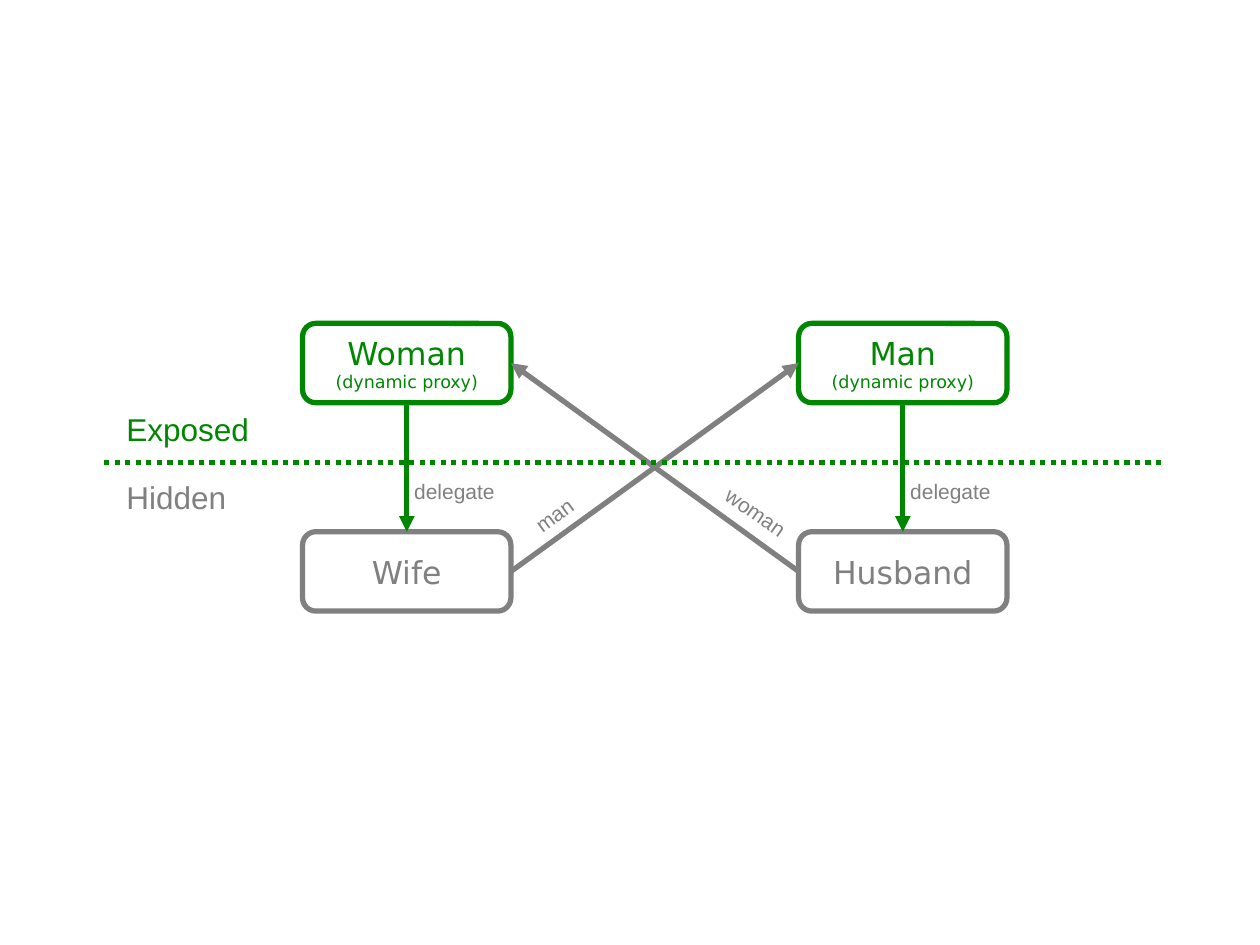
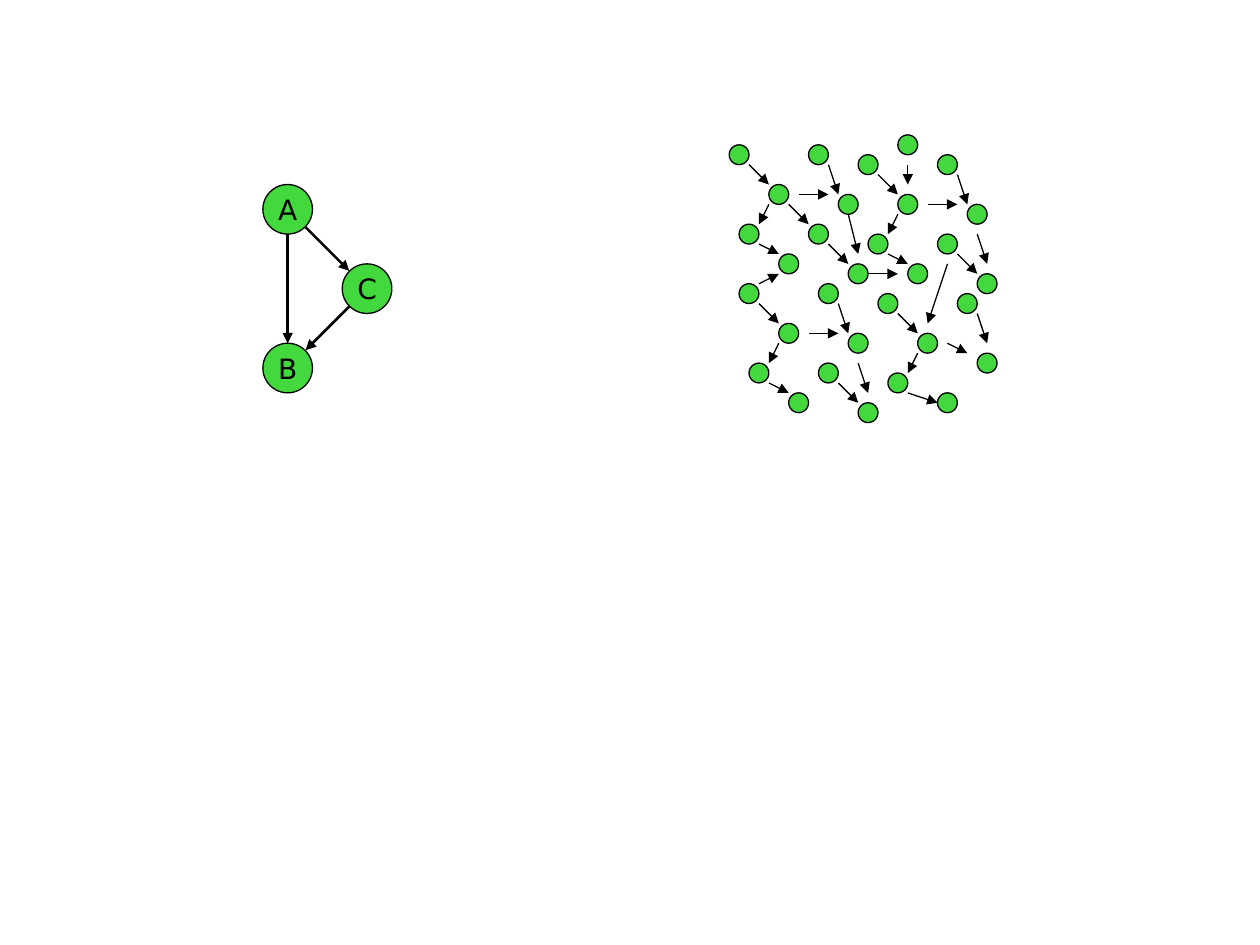
"""Builds two diagram slides: a proxy scheme and a pair of dependency graphs."""
from dataclasses import dataclass

from lxml import etree
from pptx import Presentation, util as u
from pptx.dml.color import RGBColor
from pptx.enum import dml, shapes, text
from pptx.oxml.ns import qn

EMU_PER_PX = 7200
TOP, LEFT, BOTTOM, RIGHT = range(4)


@dataclass(frozen=True)
class Theme:
    exposed: str = "008600"
    hidden: str = "808080"
    node: str = "42D83E"
    ink: str = "000000"
    label_font: str = "Arial"
    box_font: str = "DejaVu Sans"
    title_size: int = 18
    node_size: int = 16
    label_size: int = 12
    note_size: int = 10
    heavy: float = 3
    medium: float = 1.5
    thin: float = 0.75


THEME = Theme()

DOTS = [
    (0, 1), (4, 5), (8, 1), (11, 6), (1, 9), (5, 12), (8, 9), (12, 13),
    (1, 15), (5, 19), (9, 15), (12, 20), (2, 23), (6, 26), (9, 23), (13, 27),
    (13, 2), (17, 6), (21, 2), (24, 7), (14, 10), (18, 13), (21, 10), (25, 14),
    (15, 16), (19, 20), (23, 16), (16, 24), (21, 26), (25, 22), (17, 0),
]

ARROWS = [
    (2, 3, 4, 5), (10, 3, 11, 6), (3, 11, 5, 12), (10, 11, 12, 13),
    (4, 7, 3, 9), (7, 6, 10, 6), (12, 8, 13, 12), (3, 17, 5, 19),
    (11, 17, 12, 20), (4, 25, 6, 26), (11, 25, 13, 27), (5, 21, 4, 23),
    (8, 20, 11, 20), (13, 23, 14, 26), (15, 4, 17, 6), (23, 4, 24, 7),
    (16, 12, 18, 13), (23, 12, 25, 14), (17, 8, 16, 10), (20, 7, 23, 7),
    (25, 10, 26, 13), (17, 18, 19, 20), (25, 18, 26, 21), (18, 26, 21, 27),
    (19, 22, 18, 24), (22, 21, 24, 22), (3, 15, 5, 14), (14, 14, 17, 14),
    (22, 13, 20, 19), (18, 3, 18, 5), (6, 7, 8, 9),
]


def px(*lengths):
    return [u.Emu(length * EMU_PER_PX) for length in lengths]


def apply(target, values):
    for name, value in values.items():
        setattr(target, name, value)


def paint_line(line, color, width):
    line.color.rgb = RGBColor.from_string(color)
    line.width = u.Pt(width)


def write(frame, lines, font, color, align):
    frame.word_wrap = False
    for index, (words, size) in enumerate(lines):
        paragraph = frame.add_paragraph() if index else frame.paragraphs[0]
        paragraph.alignment = align
        run = paragraph.add_run()
        run.text = words
        apply(run.font, {"name": font, "size": u.Pt(size)})
        run.font.color.rgb = RGBColor.from_string(color)


def add_outlined(slide, preset, area, color, width, fill=None, lines=()):
    shape = slide.shapes.add_shape(preset, *px(*area))
    shape.shadow.inherit = False
    if fill:
        shape.fill.solid()
        shape.fill.fore_color.rgb = RGBColor.from_string(fill)
    else:
        shape.fill.background()
    paint_line(shape.line, color, width)
    if lines:
        shape.text_frame.vertical_anchor = text.MSO_ANCHOR.MIDDLE
        write(shape.text_frame, lines, THEME.box_font, color, text.PP_ALIGN.CENTER)
    return shape


def add_box(slide, left, top, color, title, note=None):
    lines = [(title, THEME.title_size)]
    if note:
        lines.append((note, THEME.note_size))
    return add_outlined(slide, shapes.MSO_SHAPE.ROUNDED_RECTANGLE,
                        (left, top, 210, 80), color, THEME.heavy, lines=lines)


def add_circle(slide, left, top, diameter, letter=None):
    lines = [(letter, THEME.node_size)] if letter else ()
    return add_outlined(slide, shapes.MSO_SHAPE.OVAL, (left, top, diameter, diameter),
                        THEME.ink, THEME.thin, THEME.node, lines)


def add_line(slide, ends, color, width, dash=None, arrow=True):
    line = slide.shapes.add_connector(shapes.MSO_CONNECTOR.STRAIGHT, *px(*ends))
    paint_line(line.line, color, width)
    if dash:
        line.line.dash_style = dash
    properties = line.element.spPr
    if arrow:
        etree.SubElement(properties.find(qn("a:ln")), qn("a:tailEnd"), type="triangle")
    etree.SubElement(properties, qn("a:effectLst"))
    return line


def join(slide, source, source_side, target, target_side, color):
    arrow = add_line(slide, (0, 0, 0, 0), color, THEME.heavy)
    arrow.begin_connect(source, source_side)
    arrow.end_connect(target, target_side)


def add_label(slide, area, words, size, color, rotation=0):
    label = slide.shapes.add_textbox(*px(*area))
    label.rotation = rotation
    write(label.text_frame, [(words, size)], THEME.label_font, color, text.PP_ALIGN.LEFT)


def build_proxies(slide):
    wife_column, husband_column, proxy_row, hidden_row = 305, 805, 326, 536
    proxy_note = "(dynamic proxy)"
    woman = add_box(slide, wife_column, proxy_row, THEME.exposed, "Woman", proxy_note)
    man = add_box(slide, husband_column, proxy_row, THEME.exposed, "Man", proxy_note)
    wife = add_box(slide, wife_column, hidden_row, THEME.hidden, "Wife")
    husband = add_box(slide, husband_column, hidden_row, THEME.hidden, "Husband")

    join(slide, wife, RIGHT, man, LEFT, THEME.hidden)
    join(slide, husband, LEFT, woman, RIGHT, THEME.hidden)
    for proxy, delegate in ((man, husband), (woman, wife)):
        join(slide, proxy, BOTTOM, delegate, TOP, THEME.exposed)
    add_line(slide, (105, 466, 1174, 466), THEME.exposed, THEME.heavy,
             dml.MSO_LINE.ROUND_DOT, arrow=False)

    add_label(slide, (115, 407, 149, 51), "Exposed", THEME.title_size, THEME.exposed)
    add_label(slide, (115, 476, 126, 51), "Hidden", THEME.title_size, THEME.hidden)
    add_label(slide, (525, 498, 72, 38), "man", THEME.label_size, THEME.hidden, 323.8)
    add_label(slide, (715, 498, 96, 38), "woman", THEME.label_size, THEME.hidden, 35)
    for column in (wife_column, husband_column):
        add_label(slide, (column + 100, 476, 107, 38), "delegate",
                  THEME.label_size, THEME.hidden)


def build_small_graph(slide):
    left, top, diameter, step = 265, 186, 50, 80
    for letter, column, row in (("B", 0, 2), ("C", 1, 1), ("A", 0, 0)):
        add_circle(slide, left + column * step, top + row * step, diameter, letter)
    radius, diagonal = diameter // 2, 18
    a_x, a_y = left + radius, top + radius
    c_x, c_y = a_x + step, a_y + step
    b_y = c_y + step
    for ends in (
        (a_x, a_y + radius, a_x, b_y - radius),
        (c_x - diagonal, c_y + diagonal, a_x + diagonal, b_y - diagonal),
        (a_x + diagonal, a_y + diagonal, c_x - diagonal, c_y - diagonal),
    ):
        add_line(slide, ends, THEME.ink, THEME.medium)


def build_large_graph(slide):
    left, top, step = 735, 136, 10
    for column, row in DOTS:
        add_circle(slide, left + column * step, top + row * step, 2 * step)
    for x1, y1, x2, y2 in ARROWS:
        ends = (left + x1 * step, top + y1 * step, left + x2 * step, top + y2 * step)
        add_line(slide, ends, THEME.ink, THEME.thin)


def main():
    deck = Presentation()
    apply(deck, {"slide_width": u.Inches(10), "slide_height": u.Inches(7.5)})
    blank = deck.slide_layouts[6]
    build_proxies(deck.slides.add_slide(blank))
    graphs = deck.slides.add_slide(blank)
    build_small_graph(graphs)
    build_large_graph(graphs)
    deck.save("out.pptx")


if __name__ == "__main__":
    main()
